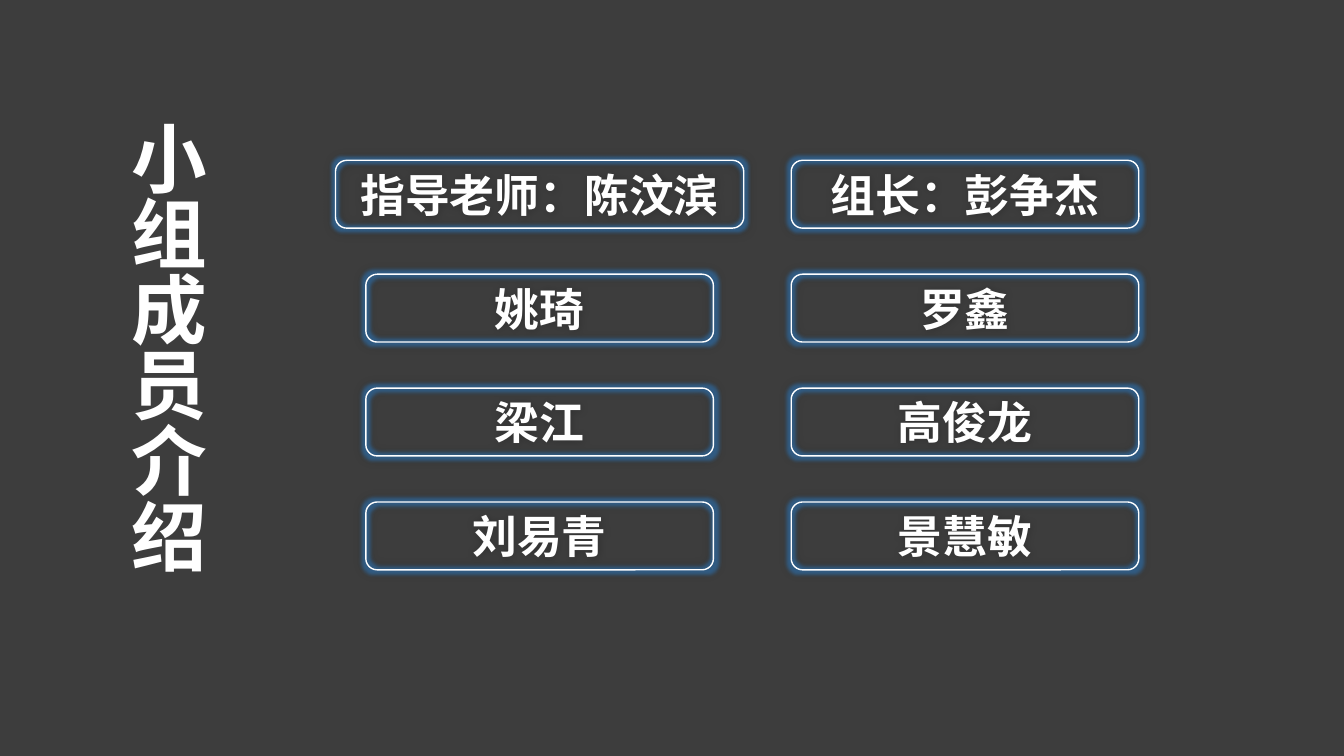
import pptx
import pptx.dml.color
import pptx.enum.shapes
import pptx.enum.text
import pptx.oxml
import pptx.oxml.ns
import pptx.util
from lxml import etree

Cm = pptx.util.Cm
Pt = pptx.util.Pt
SHAPE = pptx.enum.shapes.MSO_SHAPE
WIDTH, HEIGHT = Cm(33.87), Cm(19.05)
COLORS = {"back": "0D0D0D", "text": "FFFFFF", "glow": "2E75B6", "shade": "000000"}

ROWS = [
    ("指导老师：陈汶滨", "组长：彭争杰"),
    ("姚琦", "罗鑫"),
    ("梁江", "高俊龙"),
    ("刘易青", "景慧敏"),
]
CENTERS = (13.6, 24.32)
TOP, PITCH = 4.04, 2.87
CARD, LEAD, TALL = 8.76, 10.29, 1.71


def color(name):
    return pptx.dml.color.RGBColor.from_string(COLORS[name])


def style(frame, size):
    font = frame.paragraphs[0].runs[0].font
    font.name = "Calibri"
    font.size = Pt(size)
    font.bold = True
    font.color.rgb = color("text")


def add_back(slide):
    """Cover the slide with a dark tint that is 80% opaque."""
    back = slide.shapes.add_shape(SHAPE.RECTANGLE, 0, 0, WIDTH, HEIGHT)
    back.shadow.inherit = False
    back.line.fill.background()
    back.fill.solid()
    back.fill.fore_color.rgb = color("back")
    tint = back.fill._xPr.find(".//" + pptx.oxml.ns.qn("a:srgbClr"))
    etree.SubElement(tint, pptx.oxml.ns.qn("a:alpha"), val="80000")


def add_title(slide, text):
    box = slide.shapes.add_textbox(Cm(2.64), Cm(2.79), Cm(2.82), Cm(14.66))
    frame = box.text_frame
    frame.word_wrap = True
    frame.text = text
    frame._txBody.bodyPr.set("vert", "eaVert")
    style(frame, 54)


def add_glow(shape):
    """Give a shape a blue glow and a soft shadow."""
    shape.shadow.inherit = False
    effects = shape._element.spPr.find(pptx.oxml.ns.qn("a:effectLst"))
    for tag, size, name, alpha in (
        ("glow", {"rad": "63500"}, "glow", "60000"),
        ("outerShdw", {"blurRad": "76200", "dir": "13500000"}, "shade", "20000"),
    ):
        effect = etree.SubElement(effects, pptx.oxml.ns.qn("a:" + tag), size)
        tint = etree.SubElement(effect, pptx.oxml.ns.qn("a:srgbClr"), val=COLORS[name])
        etree.SubElement(tint, pptx.oxml.ns.qn("a:alpha"), val=alpha)


def add_card(slide, text, center, top, width):
    card = slide.shapes.add_shape(
        SHAPE.ROUNDED_RECTANGLE, Cm(center - width / 2), Cm(top), Cm(width), Cm(TALL))
    card.fill.background()
    card.line.color.rgb = color("text")
    card.line.width = Pt(1)
    add_glow(card)
    frame = card.text_frame
    frame.text = text
    frame.vertical_anchor = pptx.enum.text.MSO_ANCHOR.MIDDLE
    frame.paragraphs[0].alignment = pptx.enum.text.PP_ALIGN.CENTER
    style(frame, 32)


def main():
    deck = pptx.Presentation()
    deck.slide_width, deck.slide_height = WIDTH, HEIGHT
    slide = deck.slides.add_slide(deck.slide_layouts[6])
    add_back(slide)
    add_title(slide, "小组成员介绍")
    for row, names in enumerate(ROWS):
        for col, (name, center) in enumerate(zip(names, CENTERS)):
            width = LEAD if row == col == 0 else CARD
            add_card(slide, name, center, TOP + row * PITCH, width)
    deck.save("out.pptx")


if __name__ == "__main__":
    main()
